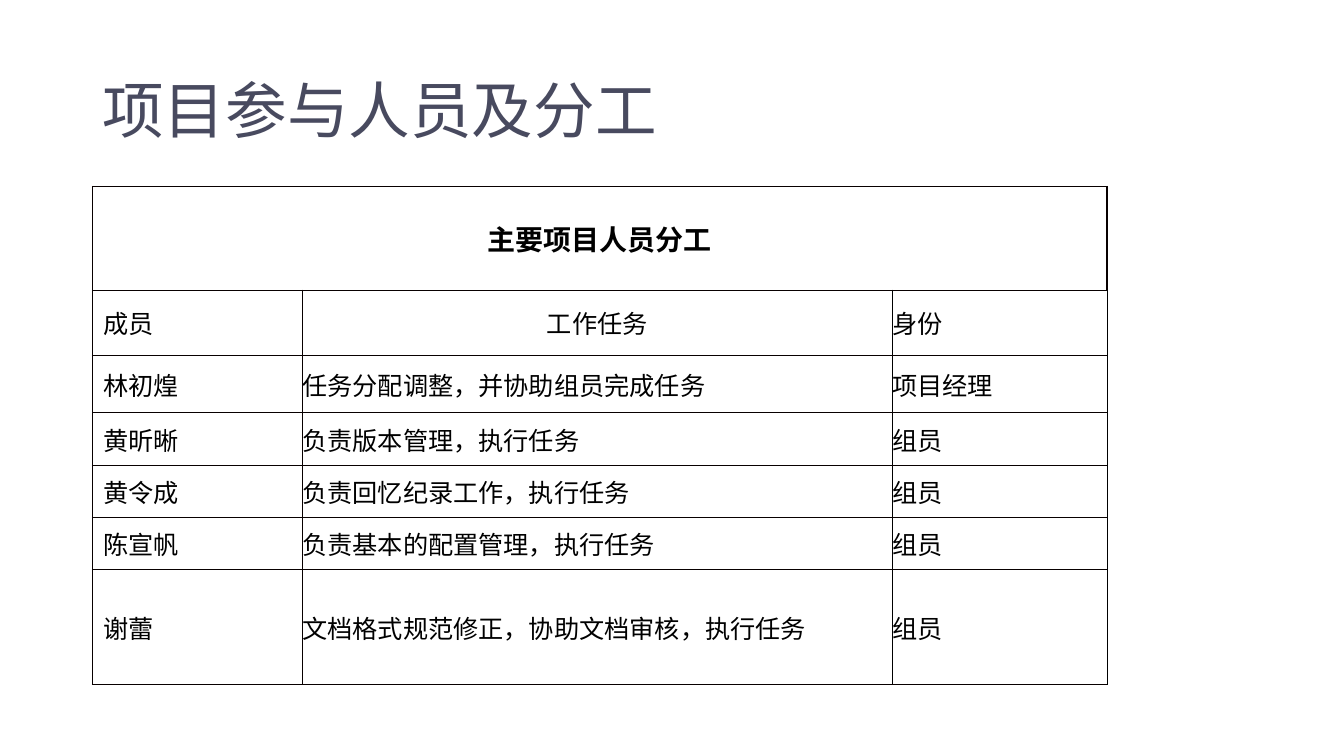
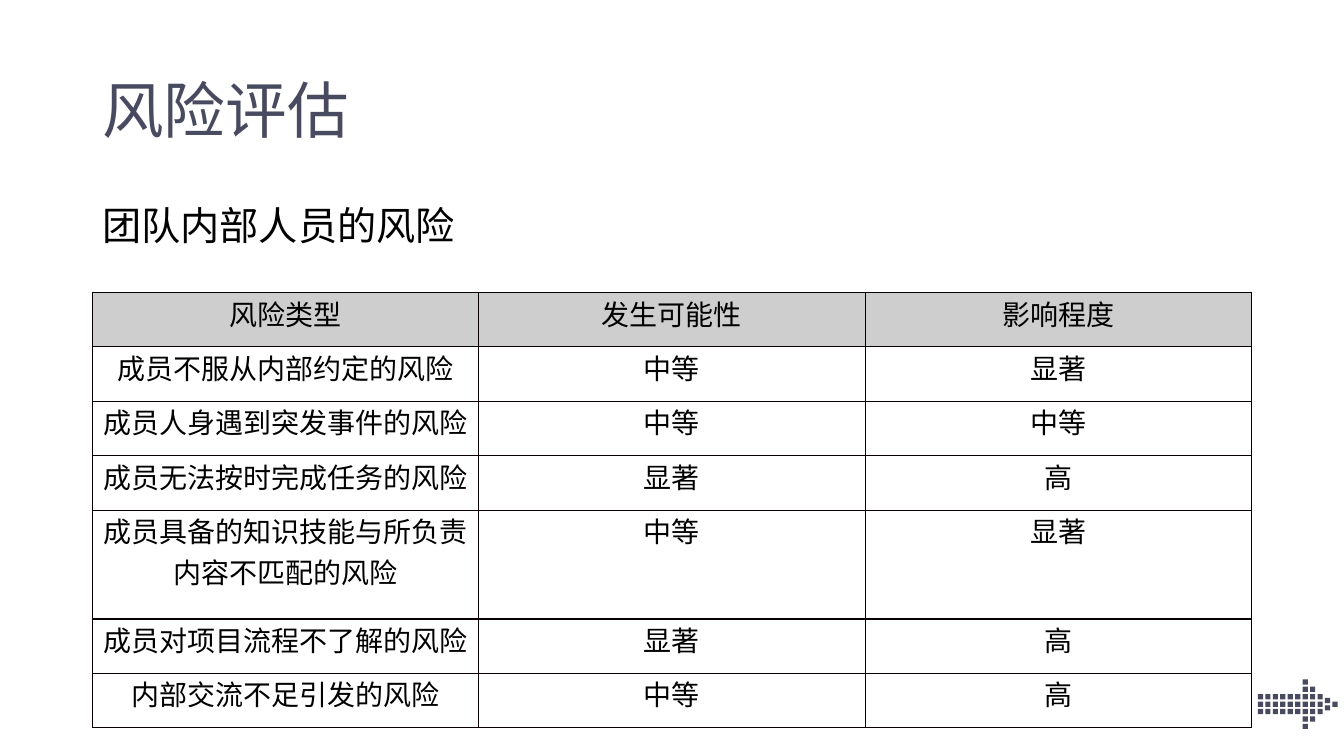
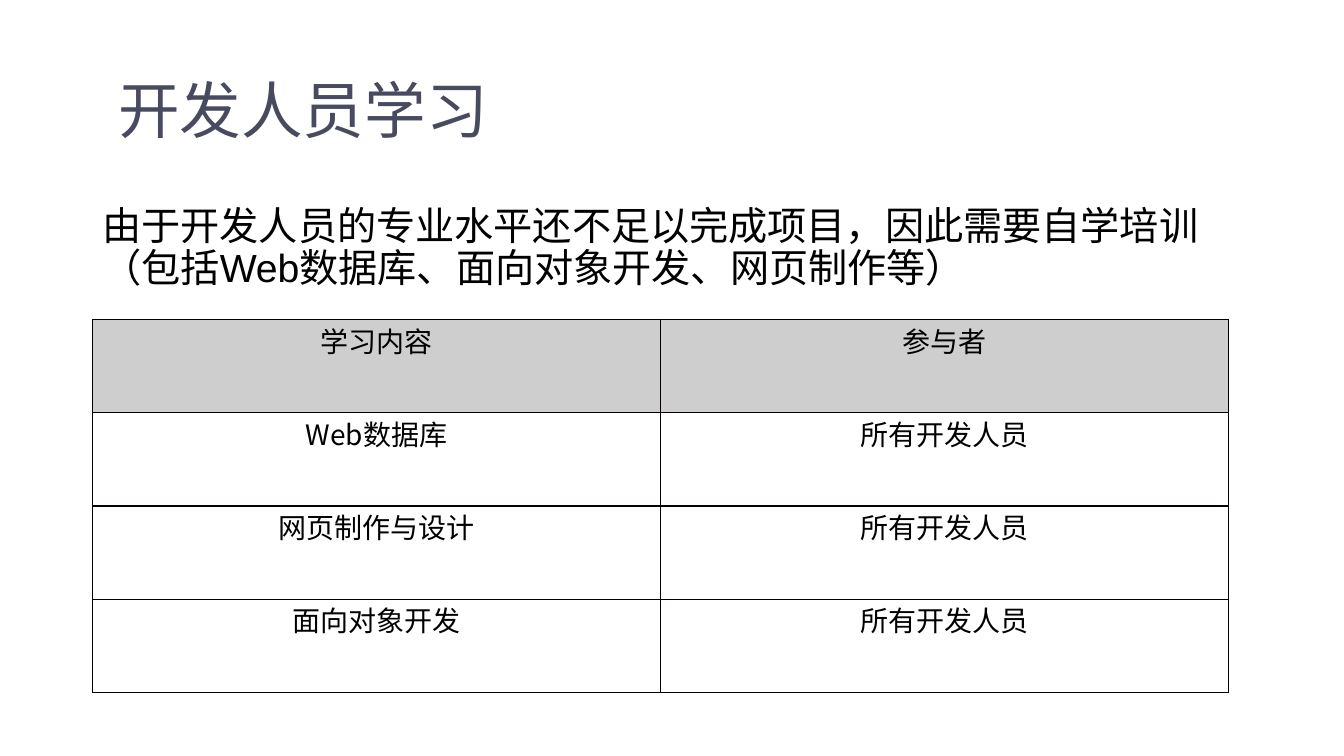
from collections import namedtuple

from lxml import etree
from pptx import Presentation
from pptx import util as u
from pptx.dml.color import RGBColor
from pptx.enum import lang, text
from pptx.oxml import ns

Cm, Pt = u.Cm, u.Pt
Box = namedtuple("Box", "left top width height")

SLATE = RGBColor(0x48, 0x4A, 0x5F)
BLACK = RGBColor(0x00, 0x00, 0x00)
RULE = RGBColor(0x08, 0x00, 0x00)
GREY = RGBColor(0xCF, 0xCE, 0xCE)
LATIN_FONT = "Arial"
CHINESE_FONT = "Noto Sans CJK SC"
CENTER, LEFT = text.PP_ALIGN.CENTER, text.PP_ALIGN.LEFT
TOP, MIDDLE = text.MSO_ANCHOR.TOP, text.MSO_ANCHOR.MIDDLE

MARGIN, CONTENT_WIDTH = 2.33, 29.21
TITLE_BOX = Box(MARGIN, 1.01, CONTENT_WIDTH, 3.68)

MEMBERS = [
    ("成员", "工作任务", "身份"),
    ("林初煌", "任务分配调整，并协助组员完成任务", "项目经理"),
    ("黄昕晰", "负责版本管理，执行任务", "组员"),
    ("黄令成", "负责回忆纪录工作，执行任务", "组员"),
    ("陈宣帆", "负责基本的配置管理，执行任务", "组员"),
    ("谢蕾", "文档格式规范修正，协助文档审核，执行任务", "组员"),
]
RISKS = [
    ("风险类型", "发生可能性", "影响程度"),
    ("成员不服从内部约定的风险", "中等", "显著"),
    ("成员人身遇到突发事件的风险", "中等", "中等"),
    ("成员无法按时完成任务的风险", "显著", "高"),
    ("成员具备的知识技能与所负责内容不匹配的风险", "中等", "显著"),
    ("成员对项目流程不了解的风险", "显著", "高"),
    ("内部交流不足引发的风险", "中等", "高"),
]
COURSES = [("学习内容", "参与者")] + [
    (course, "所有开发人员") for course in ("Web数据库", "网页制作与设计", "面向对象开发")
]


def in_cm(box):
    return [Cm(length) for length in box]


def add_span(para, words, size, color=BLACK, font=LATIN_FONT, bold=False):
    span = para.add_run()
    span.text = words
    span.font.size = Pt(size)
    span.font.bold = bold
    span.font.name = font
    span.font.color.rgb = color
    span.font.language_id = lang.MSO_LANGUAGE_ID.SIMPLIFIED_CHINESE
    latin = span.font._element.find(ns.qn("a:latin"))
    east_asian = etree.Element(ns.qn("a:ea"), typeface=CHINESE_FONT)
    latin.addnext(east_asian)


def add_text(page, box, words, size, color, anchor=TOP, before=0, indent=0):
    frame = page.shapes.add_textbox(*in_cm(box)).text_frame
    frame.word_wrap = True
    frame.vertical_anchor = anchor
    frame.margin_left = Cm(0.25 + indent)
    para = frame.paragraphs[0]
    para.line_spacing = 0.9
    para.space_before = Pt(before)
    add_span(para, words, size, color)


def add_title(page, words, indent=0):
    add_text(page, TITLE_BOX, words, 44, SLATE, MIDDLE, indent=indent)


def add_lead(page, box, words):
    add_text(page, box, words, 28, BLACK, before=10)


def set_borders(cell, column):
    """Draw the four edges; those right of the second column's start are thinner."""
    thin, thick = (0.75, BLACK), (1, RULE)
    edges = {
        "a:lnL": thin if column > 1 else thick,
        "a:lnR": thin if column > 0 else thick,
        "a:lnT": thick,
        "a:lnB": thick,
    }
    properties = cell._tc.get_or_add_tcPr()
    for tag, (width, color) in edges.items():
        line = etree.SubElement(properties, ns.qn(tag), w=str(Pt(width)))
        fill = etree.SubElement(line, ns.qn("a:solidFill"))
        etree.SubElement(fill, ns.qn("a:srgbClr"), val=str(color))


def add_grid(page, box, column_shares, row_shares):
    """Add an empty ruled table whose columns and rows share out the box."""
    table = page.shapes.add_table(
        len(row_shares), len(column_shares), *in_cm(box)).table
    table.first_row = table.horz_banding = False
    for column, share in zip(table.columns, column_shares):
        column.width = Cm(box.width * share / sum(column_shares))
    for row, share in zip(table.rows, row_shares):
        row.height = Cm(box.height * share / sum(row_shares))
        for index, cell in enumerate(row.cells):
            set_borders(cell, index)
            cell.fill.background()
            cell.margin_left = cell.margin_right = 0
            cell.margin_top = cell.margin_bottom = 0
    return table


def write_cell(cell, words, size, align=CENTER, anchor=TOP, bold=False):
    cell.vertical_anchor = anchor
    para = cell.text_frame.paragraphs[0]
    para.alignment = align
    add_span(para, words, size, font=CHINESE_FONT, bold=bold)


def add_member_table(page, box):
    table = add_grid(page, box, (2.08, 5.85, 2.13),
                     (1.03, 0.65, 0.57, 0.52, 0.52, 0.52, 1.14))
    heading = table.cell(0, 0)
    heading.merge(table.cell(0, 2))
    write_cell(heading, "主要项目人员分工", 20, anchor=MIDDLE, bold=True)
    for row, member in enumerate(MEMBERS, start=1):
        for column, words in enumerate(member):
            align = CENTER if (row, column) == (1, 1) else LEFT
            write_cell(table.cell(row, column), words, 18, align, MIDDLE)
        table.cell(row, 0).margin_left = Cm(0.28)


def add_centred_table(page, box, rows, row_shares):
    """Add a table of equal columns under a grey heading row."""
    table = add_grid(page, box, [1] * len(rows[0]), row_shares)
    for row, entries in enumerate(rows):
        for column, words in enumerate(entries):
            cell = table.cell(row, column)
            write_cell(cell, words, 20)
            if row == 0:
                cell.fill.solid()
                cell.fill.fore_color.rgb = GREY


def add_dotted_arrow(page, box):
    """Draw a right-pointing arrow of small squares on an 11 by 7 grid."""
    side = 0.13
    pitch_x, pitch_y = (box.width - side) / 10, (box.height - side) / 6
    shaft = [(column, row) for row in (2, 3, 4) for column in range(9)]
    head = [(6, 0), (6, 1), (7, 1), (6, 5), (7, 5), (6, 6)]
    tip = [(9, 2.5), (9, 3.5), (10, 3)]
    builder = None
    for column, row in shaft + head + tip:
        left, top = box.left + column * pitch_x, box.top + row * pitch_y
        corner = Cm(left), Cm(top)
        right, bottom = Cm(left + side), Cm(top + side)
        if builder is None:
            builder = page.shapes.build_freeform(*corner, scale=1.0)
        else:
            builder.move_to(*corner)
        builder.add_line_segments(
            [(right, corner[1]), (right, bottom), (corner[0], bottom)], close=True)
    arrow = builder.convert_to_shape()
    arrow.shadow.inherit = False
    arrow.fill.solid()
    arrow.fill.fore_color.rgb = SLATE
    arrow.line.fill.background()


def build_members(page):
    add_title(page, "项目参与人员及分工")
    add_member_table(page, Box(MARGIN, 4.7, 25.57, 12.55))


def build_risks(page):
    add_title(page, "风险评估")
    add_lead(page, Box(MARGIN, 5.08, CONTENT_WIDTH, 1.57), "团队内部人员的风险")
    add_centred_table(page, Box(MARGIN, 7.37, CONTENT_WIDTH, 10.97), RISKS,
                      (1, 1, 1, 1, 2, 1, 1))
    add_dotted_arrow(page, Box(31.7, 17.12, 2.01, 1.25))


def build_training(page):
    add_title(page, "开发人员学习", indent=0.4)
    add_lead(page, Box(MARGIN, 5.08, CONTENT_WIDTH, 2.97),
             "由于开发人员的专业水平还不足以完成项目，因此需要自学培训"
             "（包括Web数据库、面向对象开发、网页制作等）")
    add_centred_table(page, Box(MARGIN, 8.05, 28.63, 9.4), COURSES, [1] * 4)


def main():
    deck = Presentation()
    deck.slide_width, deck.slide_height = Cm(33.87), Cm(19.05)
    for build in (build_members, build_risks, build_training):
        build(deck.slides.add_slide(deck.slide_layouts[6]))
    deck.save("out.pptx")


if __name__ == "__main__":
    main()
